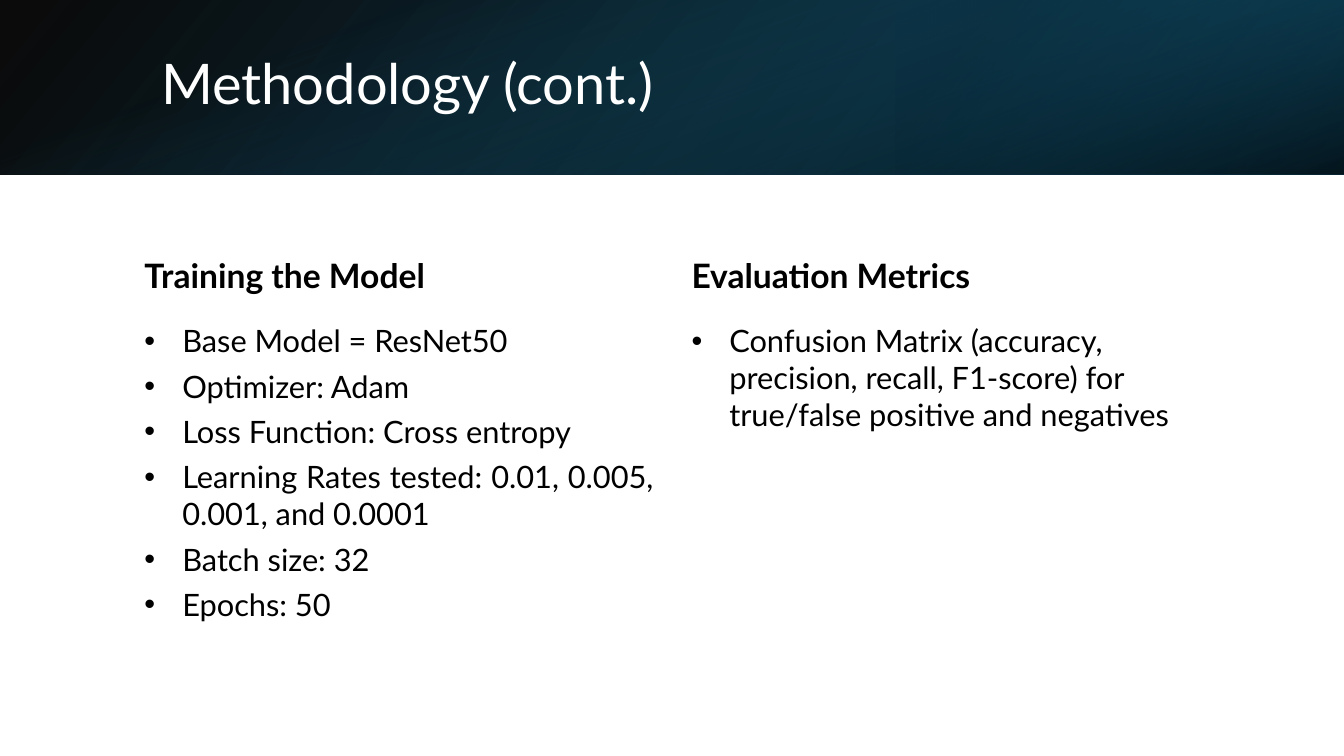
"""Build the Methodology slide: a gradient title band above two text columns."""
from lxml import etree
from pptx import Presentation
from pptx.dml.color import RGBColor as RGB
from pptx.enum.shapes import MSO_SHAPE as SHAPE
from pptx.enum.text import MSO_ANCHOR as ANCHOR, MSO_AUTO_SIZE as AUTO, PP_ALIGN as ALIGN
from pptx.oxml.ns import nsdecls, qn
from pptx.util import Pt

PX = 9525
THEME = {
    "font": "Lato", "title": 40, "heading": 24, "body": 22,
    "white": "FFFFFF", "black": "000000",
    "navy": "104862", "deep": "0B3041", "teal": "156082",
}


def add_band(slide, box, rotation, flip, angle, stops):
    sp = slide.shapes.add_shape(SHAPE.RECTANGLE, *(v * PX for v in box))
    sp.rotation = rotation
    sp.shadow.inherit = False
    sp.line.fill.background()
    props = sp._element.spPr
    if flip:
        props.find(qn("a:xfrm")).set("flipH", "1")
    marks = "".join(
        f'<a:gs pos="{pos * 1000}"><a:srgbClr val="{THEME[color]}">'
        f'<a:alpha val="{alpha * 1000}"/></a:srgbClr></a:gs>'
        for pos, color, alpha in stops)
    grad = etree.fromstring(
        f'<a:gradFill {nsdecls("a")} rotWithShape="1"><a:gsLst>{marks}</a:gsLst>'
        f'<a:lin ang="{angle * 60000}" scaled="0"/></a:gradFill>')
    props.find(qn("a:prstGeom")).addnext(grad)
    return sp


def fill_text(sp, box, lines, size, color, anchor, align=ALIGN.LEFT,
              bold=False, after=6, spacing=1.0):
    sp.left, sp.top, sp.width, sp.height = (v * PX for v in box)
    tf = sp.text_frame
    tf.text = "\n".join(lines)
    tf.word_wrap = True
    tf.auto_size = AUTO.NONE
    tf.vertical_anchor = anchor
    for p in tf.paragraphs:
        p.alignment = align
        p.line_spacing = spacing
        p.space_before, p.space_after = Pt(0), Pt(after)
        for r in p.runs:
            r.font.name = THEME["font"]
            r.font.size = Pt(THEME[size])
            r.font.bold = bold
            r.font.color.rgb = RGB.from_string(THEME[color])


prs = Presentation()
prs.slide_width, prs.slide_height = 1280 * PX, 720 * PX
s = prs.slides.add_slide(prs.slide_layouts.get_by_name("Comparison"))
title, *bodies = s.placeholders

bands = [
    ((0, 0, 1280, 166), 0, True, 140, [(0, "black", 96), (100, "navy", 100)]),
    ((853, 0, 427, 166), 180, True, 320, [(19, "deep", 68), (100, "teal", 79)]),
    ((557, -557, 166, 1280), 90, False, 340, [(23, "teal", 0), (99, "black", 74)]),
]
for band in bands:
    sp = add_band(s, *band)
    title._element.addprevious(sp._element)

fill_text(title, (144, 36, 1054, 92), ["Methodology (cont.)"], "title", "white",
          ANCHOR.MIDDLE, after=0, spacing=0.9)

columns = [
    (128, 504, "Training the Model", ALIGN.JUSTIFY, [
        "Base Model = ResNet50",
        "Optimizer: Adam",
        "Loss Function: Cross entropy",
        "Learning Rates tested: 0.01, 0.005, 0.001, and 0.0001",
        "Batch size: 32",
        "Epochs: 50",
    ]),
    (649, 506, "Evaluation Metrics", ALIGN.LEFT, [
        "Confusion Matrix (accuracy, precision, recall, F1-score) "
        "for true/false positive and negatives",
    ]),
]
for (left, width, heading, align, items), head, body in zip(columns, bodies[::2], bodies[1::2]):
    fill_text(head, (left, 222, width, 80), [heading], "heading", "black",
              ANCHOR.MIDDLE, bold=True)
    fill_text(body, (left, 302, width, 360), items, "body", "black", ANCHOR.TOP, align)

prs.save("out.pptx")
